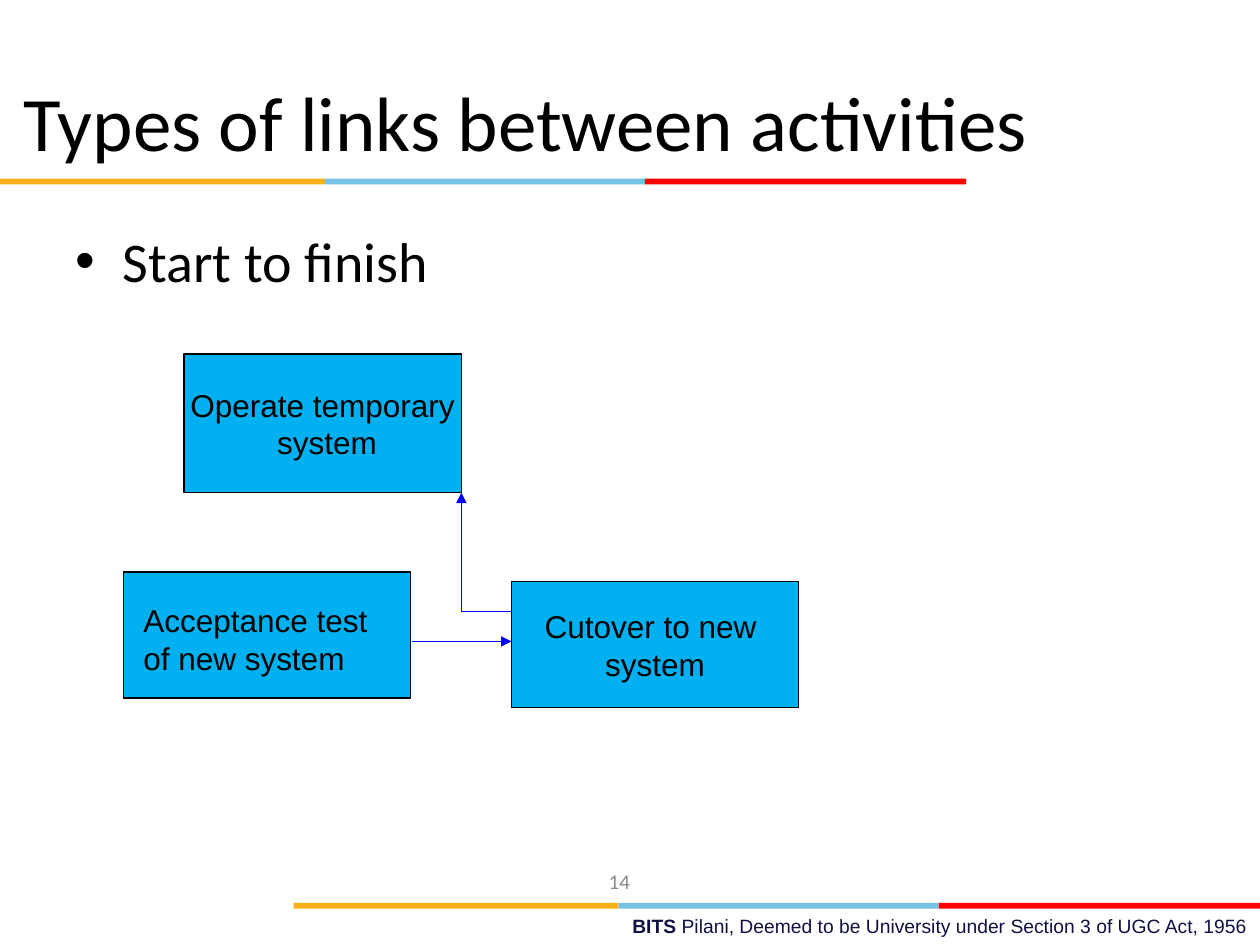
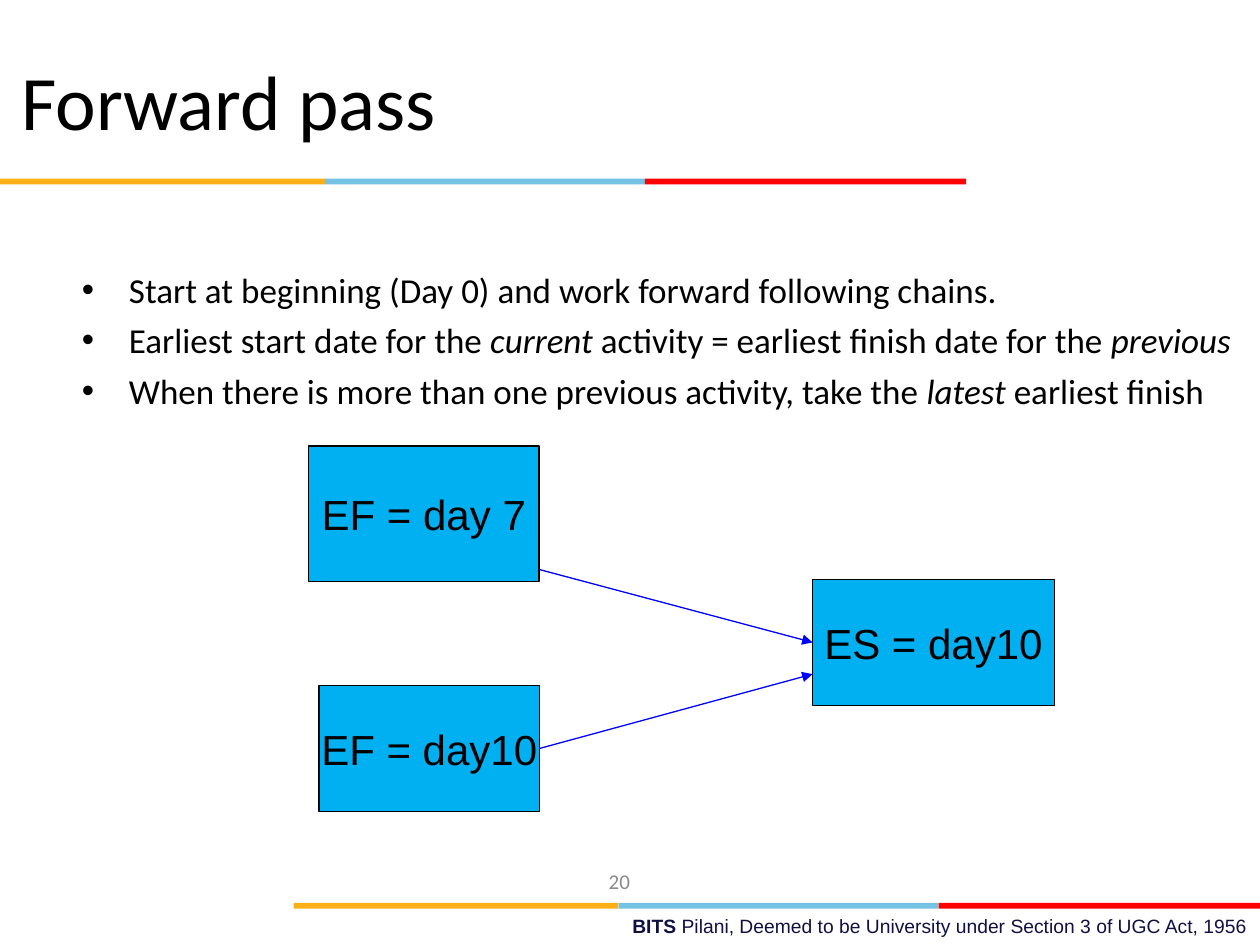
from dataclasses import dataclass
from itertools import accumulate

from lxml import etree
from pptx import Presentation
from pptx.dml.color import RGBColor
from pptx.enum.shapes import MSO_CONNECTOR, MSO_SHAPE
from pptx.enum.text import MSO_ANCHOR, PP_ALIGN
from pptx.oxml.ns import qn
from pptx.util import Cm, Pt

RECTANGLE = MSO_SHAPE.RECTANGLE
STRAIGHT = MSO_CONNECTOR.STRAIGHT
LEFT, CENTER, RIGHT = PP_ALIGN.LEFT, PP_ALIGN.CENTER, PP_ALIGN.RIGHT
TOP, MIDDLE = MSO_ANCHOR.TOP, MSO_ANCHOR.MIDDLE

BLACK, WHITE = "000000", "FFFFFF"
NAVY, GREY = "101141", "898989"
BOX_BLUE, ARROW_BLUE = "00B0F0", "0000FF"
HEADING_FONT, LABEL_FONT = "Calibri", "Arial"

# Three-colour band: widths and colours from left to right, in cm
BAND_WIDTHS = (6.55, 6.45, 6.48)
BAND_COLOURS = ("FCB017", "76C2E5", "FF0000")
BAND_HEIGHT = 0.12
BAND_STARTS = ((0, 3.6), (5.92, 18.2))
LINE_WIDTH = 0.75
BULLET_INDENT = 0.95


@dataclass(frozen=True)
class Area:
    """Position and size in cm."""
    left: float
    top: float
    width: float
    height: float

    def lengths(self) -> tuple:
        return Cm(self.left), Cm(self.top), Cm(self.width), Cm(self.height)


@dataclass(frozen=True)
class TextStyle:
    size: float
    font: str = LABEL_FONT
    colour: str = BLACK
    align: PP_ALIGN = LEFT
    anchor: MSO_ANCHOR = TOP
    wrap: bool = True


@dataclass(frozen=True)
class Activity:
    area: Area
    label: str = ""


@dataclass(frozen=True)
class Link:
    start: tuple[float, float]
    end: tuple[float, float]
    arrow: bool = True


@dataclass(frozen=True)
class Run:
    text: str
    italic: bool = False
    bold: bool = False


TITLE = TextStyle(44, HEADING_FONT, anchor=MIDDLE)
PAGE_NUMBER = TextStyle(12, HEADING_FONT, GREY, CENTER, MIDDLE)
FOOTER = TextStyle(11, colour=NAVY, align=RIGHT)
LABEL = TextStyle(18, align=CENTER, anchor=MIDDLE, wrap=False)
LARGE_LABEL = TextStyle(24, align=CENTER, anchor=MIDDLE, wrap=False)
LEFT_LABEL = TextStyle(18, wrap=False)


def colour(value: str) -> RGBColor:
    return RGBColor.from_string(value)


def style_text(text_frame, style: TextStyle) -> None:
    text_frame.word_wrap = style.wrap
    text_frame.vertical_anchor = style.anchor
    for paragraph in text_frame.paragraphs:
        paragraph.alignment = style.align
        for run in paragraph.runs:
            run.font.size = Pt(style.size)
            run.font.name = style.font
            run.font.color.rgb = colour(style.colour)


def add_text(slide, area: Area, text: str, style: TextStyle) -> None:
    text_frame = slide.shapes.add_textbox(*area.lengths()).text_frame
    text_frame.text = text
    style_text(text_frame, style)


def add_runs(paragraph, runs: list[Run]) -> None:
    for part in runs:
        run = paragraph.add_run()
        run.text = part.text
        run.font.italic = part.italic
        run.font.bold = part.bold


def add_bullet(paragraph) -> None:
    properties = paragraph._p.get_or_add_pPr()
    properties.set("marL", str(Cm(BULLET_INDENT)))
    properties.set("indent", str(-Cm(BULLET_INDENT)))
    etree.SubElement(properties, qn("a:buFont")).set("typeface", LABEL_FONT)
    etree.SubElement(properties, qn("a:buChar")).set("char", "•")


def add_bullets(slide, area: Area, items: list[list[Run]],
                size: float, space_before: float) -> None:
    text_frame = slide.shapes.add_textbox(*area.lengths()).text_frame
    for index, runs in enumerate(items):
        if index == 0:
            paragraph = text_frame.paragraphs[0]
        else:
            paragraph = text_frame.add_paragraph()
        add_bullet(paragraph)
        if index:
            paragraph.space_before = Pt(space_before)
        add_runs(paragraph, runs)
    style_text(text_frame, TextStyle(size, HEADING_FONT))


def add_rectangle(slide, area: Area, fill: str):
    shape = slide.shapes.add_shape(RECTANGLE, *area.lengths())
    shape.shadow.inherit = False
    shape.fill.solid()
    shape.fill.fore_color.rgb = colour(fill)
    shape.line.fill.background()
    return shape


def add_activity(slide, activity: Activity, style: TextStyle) -> None:
    shape = add_rectangle(slide, activity.area, BOX_BLUE)
    shape.line.color.rgb = colour(BLACK)
    shape.line.width = Pt(LINE_WIDTH)
    if activity.label:
        shape.text_frame.text = activity.label
        style_text(shape.text_frame, style)


def add_link(slide, link: Link) -> None:
    points = [Cm(value) for value in link.start + link.end]
    connector = slide.shapes.add_connector(STRAIGHT, *points)
    connector.line.color.rgb = colour(ARROW_BLUE)
    connector.line.width = Pt(LINE_WIDTH)
    if link.arrow:
        line = connector.line._get_or_add_ln()
        etree.SubElement(line, qn("a:tailEnd")).set("type", "triangle")
    etree.SubElement(connector._element.spPr, qn("a:effectLst"))


def add_band(slide, left: float, top: float) -> None:
    starts = accumulate(BAND_WIDTHS[:-1], initial=left)
    for start, width, fill in zip(starts, BAND_WIDTHS, BAND_COLOURS):
        add_rectangle(slide, Area(start, top, width, BAND_HEIGHT), fill)


def add_base_slide(presentation, title: str, title_area: Area, number: int):
    """Blank slide with bands, footer, page number and title."""
    slide = presentation.slides.add_slide(presentation.slide_layouts[6])
    slide.background.fill.solid()
    slide.background.fill.fore_color.rgb = colour(WHITE)
    footer_area = Area(9.09, 18.31, 16.31, 0.74)
    footer = slide.shapes.add_textbox(*footer_area.lengths()).text_frame
    add_runs(footer.paragraphs[0], [
        Run("BITS ", bold=True),
        Run("Pilani, Deemed to be University under Section 3 of UGC Act, 1956"),
    ])
    style_text(footer, FOOTER)
    for left, top in BAND_STARTS:
        add_band(slide, left, top)
    add_text(slide, Area(7.19, 17.25, 10.59, 1.02), str(number), PAGE_NUMBER)
    add_text(slide, title_area, title, TITLE)
    return slide


def add_diagram(slide, activities: list[Activity], links: list[Link],
                style: TextStyle) -> None:
    for activity in activities:
        add_activity(slide, activity, style)
    for link in links:
        add_link(slide, link)


def build_link_types(presentation) -> None:
    slide = add_base_slide(presentation, "Types of links between activities",
                           Area(0.23, 0.84, 22.86, 3.18), 14)
    add_bullets(slide, Area(1.27, 4.45, 22.86, 12.57),
                [[Run("Start to finish")]], size=32, space_before=8)
    activities = [
        Activity(Area(3.71, 7.14, 5.59, 2.79), "Operate temporary\n system"),
        Activity(Area(2.49, 11.53, 5.79, 2.54)),
        Activity(Area(10.31, 11.73, 5.79, 2.54), "Cutover to new \nsystem"),
    ]
    # The cutover ends the temporary system through a two-part link
    corner = (9.3, 12.32)
    links = [
        Link((8.3, 12.93), (10.31, 12.93)),
        Link((10.31, 12.32), corner, arrow=False),
        Link(corner, (9.3, 9.93)),
    ]
    add_diagram(slide, activities, links, LABEL)
    add_text(slide, Area(2.64, 11.99, 5.03, 1.78),
             "Acceptance test\nof new system", LEFT_LABEL)


def build_forward_pass(presentation) -> None:
    slide = add_base_slide(presentation, "Forward pass",
                           Area(0.18, 0.43, 21.59, 3.18), 20)
    rules = [
        [Run("Start at beginning (Day 0) and work forward following chains.")],
        [Run("Earliest start date for the "), Run("current", italic=True),
         Run(" activity = earliest finish date for the "),
         Run("previous", italic=True)],
        [Run("When there is more than one previous activity, take the "),
         Run("latest", italic=True), Run(" earliest finish")],
    ]
    add_bullets(slide, Area(1.4, 5.28, 24, 3.38), rules,
                size=20, space_before=5)
    activities = [
        Activity(Area(6.22, 8.99, 4.65, 2.74), "EF = day 7"),
        Activity(Area(6.43, 13.82, 4.45, 2.54), "EF = day10"),
        Activity(Area(16.38, 11.68, 4.88, 2.54), "ES = day10"),
    ]
    links = [
        Link((10.87, 11.48), (16.38, 12.95)),
        Link((10.87, 15.09), (16.38, 13.59)),
    ]
    add_diagram(slide, activities, links, LARGE_LABEL)


def main() -> None:
    presentation = Presentation()
    presentation.slide_width, presentation.slide_height = Cm(25.4), Cm(19.05)
    build_link_types(presentation)
    build_forward_pass(presentation)
    presentation.save("out.pptx")


if __name__ == "__main__":
    main()
